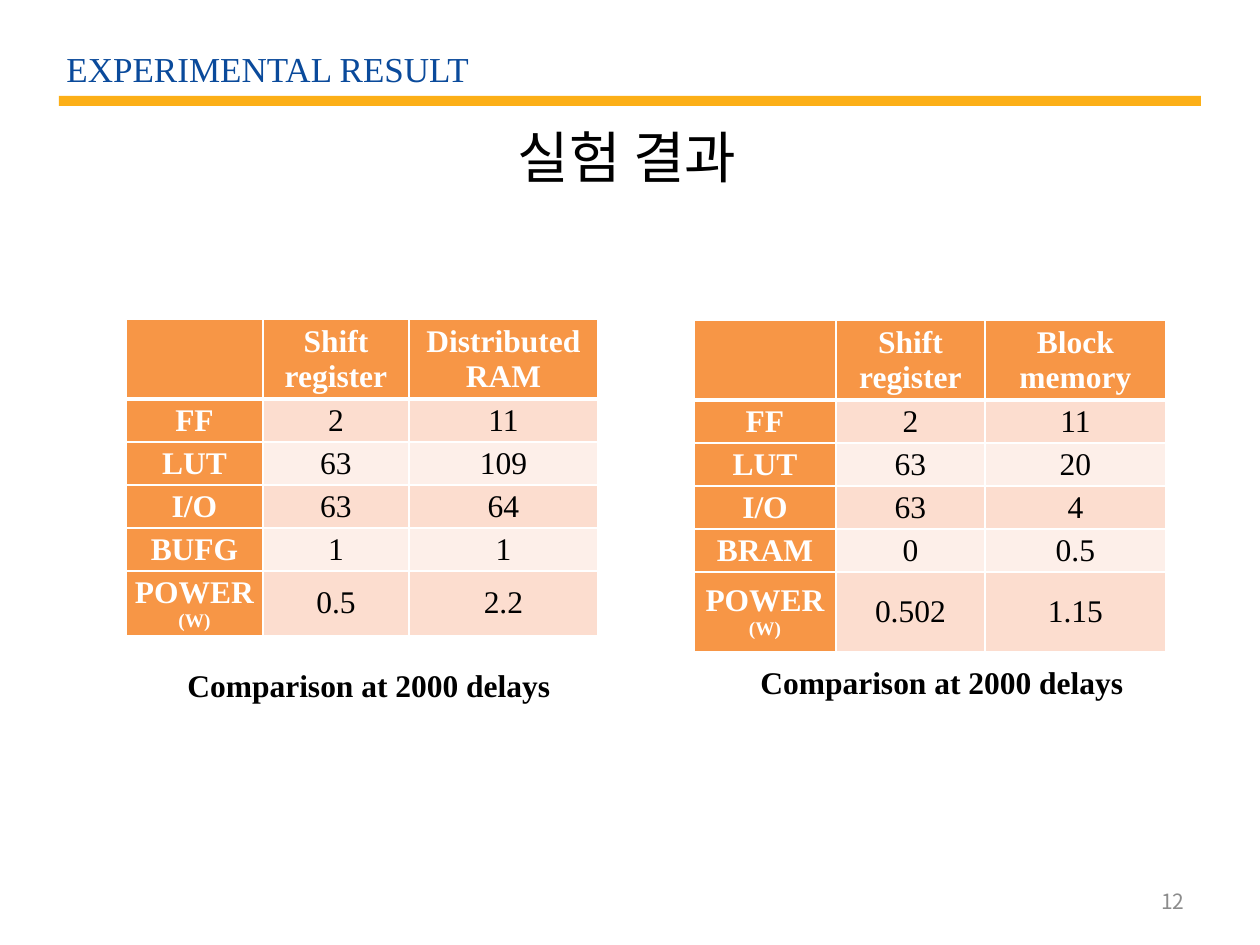
from pptx import Presentation
from pptx import util as u
from pptx.dml.color import RGBColor
from pptx.enum import shapes, text
from pptx.oxml import parse_xml
from pptx.oxml.ns import nsdecls, qn

PX = 914400 / 126
SERIF, SANS = "Times New Roman", "Noto Sans CJK KR"
BLACK = RGBColor(0x00, 0x00, 0x00)
WHITE = RGBColor(0xFF, 0xFF, 0xFF)
BLUE = RGBColor(0x0A, 0x4A, 0x9B)
GOLD = RGBColor(0xFC, 0xAF, 0x17)
GRAY = RGBColor(0x8C, 0x8C, 0x8C)
ORANGE = RGBColor(0xF7, 0x96, 0x46)
BANDS = RGBColor(0xFC, 0xDD, 0xCF), RGBColor(0xFD, 0xEF, 0xE9)
LEFT, CENTER, RIGHT = text.PP_ALIGN.LEFT, text.PP_ALIGN.CENTER, text.PP_ALIGN.RIGHT

DISTRIBUTED = [
    ["", "Shift register", "Distributed RAM"],
    ["FF", "2", "11"],
    ["LUT", "63", "109"],
    ["I/O", "63", "64"],
    ["BUFG", "1", "1"],
    ["POWER\v(W)", "0.5", "2.2"],
]
BLOCK = [
    ["", "Shift register", "Block memory"],
    ["FF", "2", "11"],
    ["LUT", "63", "20"],
    ["I/O", "63", "4"],
    ["BRAM", "0", "0.5"],
    ["POWER\v(W)", "0.502", "1.15"],
]


def px(length):
    return u.Emu(round(length * PX))


def write(frame, words, size, color, font=SERIF, bold=False, align=LEFT):
    para = frame.paragraphs[0]
    para.text = words
    para.alignment = align
    para.font.size, para.font.name, para.font.bold = u.Pt(size), font, bold
    para.font.color.rgb = color
    if font == SANS:  # Korean glyphs take the East Asian typeface
        for span in para.runs:
            span.font.name = font
            latin = span.font._element.find(qn("a:latin"))
            latin.addnext(parse_xml(f'<a:ea {nsdecls("a")} typeface="{font}"/>'))
    return para


def add_text(page, area, words, size, color, wrap=True, **style):
    box = page.shapes.add_textbox(*map(px, area))
    box.text_frame.word_wrap = wrap
    box.text_frame.vertical_anchor = text.MSO_ANCHOR.MIDDLE
    write(box.text_frame, words, size, color, **style)


def set_borders(cell, header):
    properties = cell._tc.get_or_add_tcPr()
    for side in "LRTB":
        width = u.Pt(3 if header and side == "B" else 1)
        properties.append(parse_xml(
            f'<a:ln{side} {nsdecls("a")} w="{width}"><a:solidFill>'
            f'<a:srgbClr val="{WHITE}"/></a:solidFill></a:ln{side}>'))


def add_results(page, left, top, widths, heights, rows):
    frame = page.shapes.add_table(len(rows), len(widths), px(left), px(top),
                                  px(sum(widths)), px(sum(heights)))
    table = frame.table
    for column, width in zip(table.columns, widths):
        column.width = px(width)
    for r, (row, height) in enumerate(zip(rows, heights)):
        table.rows[r].height = px(height)
        for c, words in enumerate(row):
            cell = table.cell(r, c)
            heading = r == 0 or c == 0
            set_borders(cell, header=r == 0)
            cell.fill.solid()
            cell.fill.fore_color.rgb = ORANGE if heading else BANDS[(r - 1) % 2]
            cell.margin_left = cell.margin_right = px(8)
            cell.margin_top = cell.margin_bottom = px(2)
            cell.vertical_anchor = text.MSO_ANCHOR.MIDDLE
            para = write(cell.text_frame, words, 18, WHITE if heading else BLACK,
                         bold=heading, align=CENTER)
            for unit in para.runs[1:]:
                unit.font.size = u.Pt(11)


def main():
    deck = Presentation()
    deck.slide_width, deck.slide_height = px(1260), px(945)
    page = deck.slides.add_slide(deck.slide_layouts[5])

    # Title
    title = page.shapes.title
    title.left, title.top, title.width, title.height = map(px, (60, 106, 1134, 100))
    title.text_frame.vertical_anchor = text.MSO_ANCHOR.MIDDLE
    write(title.text_frame, "실험 결과", 32, BLACK, font=SANS, align=CENTER)

    # Section heading with its rule
    add_text(page, (54, 41, 684, 55), "EXPERIMENTAL RESULT", 20, BLUE)
    rule = page.shapes.add_shape(shapes.MSO_SHAPE.RECTANGLE,
                                 *map(px, (59, 96, 1142, 10)))
    rule.shadow.inherit = False
    rule.fill.solid()
    rule.fill.fore_color.rgb = GOLD
    rule.line.fill.background()

    # Result tables
    add_results(page, 126, 319, (137, 146, 189), (80, 43, 43, 43, 43, 64), DISTRIBUTED)
    add_results(page, 694, 320, (142, 149, 181), (80, 43, 43, 43, 43, 80), BLOCK)

    # Captions
    for left, top in ((175, 659), (748, 656)):
        add_text(page, (left, top, 392, 51), "Comparison at 2000 delays", 18, BLACK,
                 wrap=False, bold=True)

    # Page number
    add_text(page, (903, 876, 294, 50), "12", 12, GRAY, font=SANS, align=RIGHT)

    deck.save("out.pptx")


if __name__ == "__main__":
    main()
